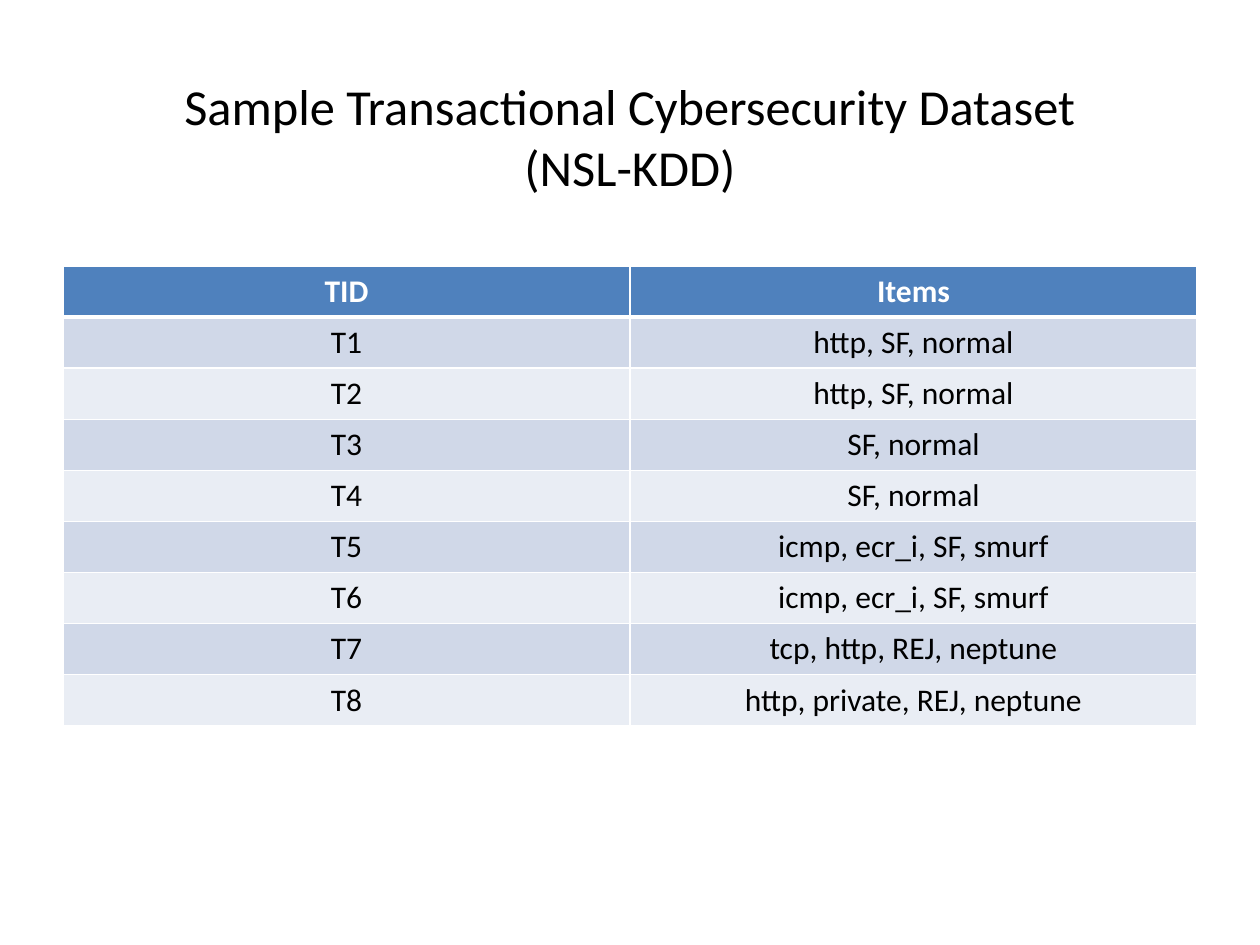
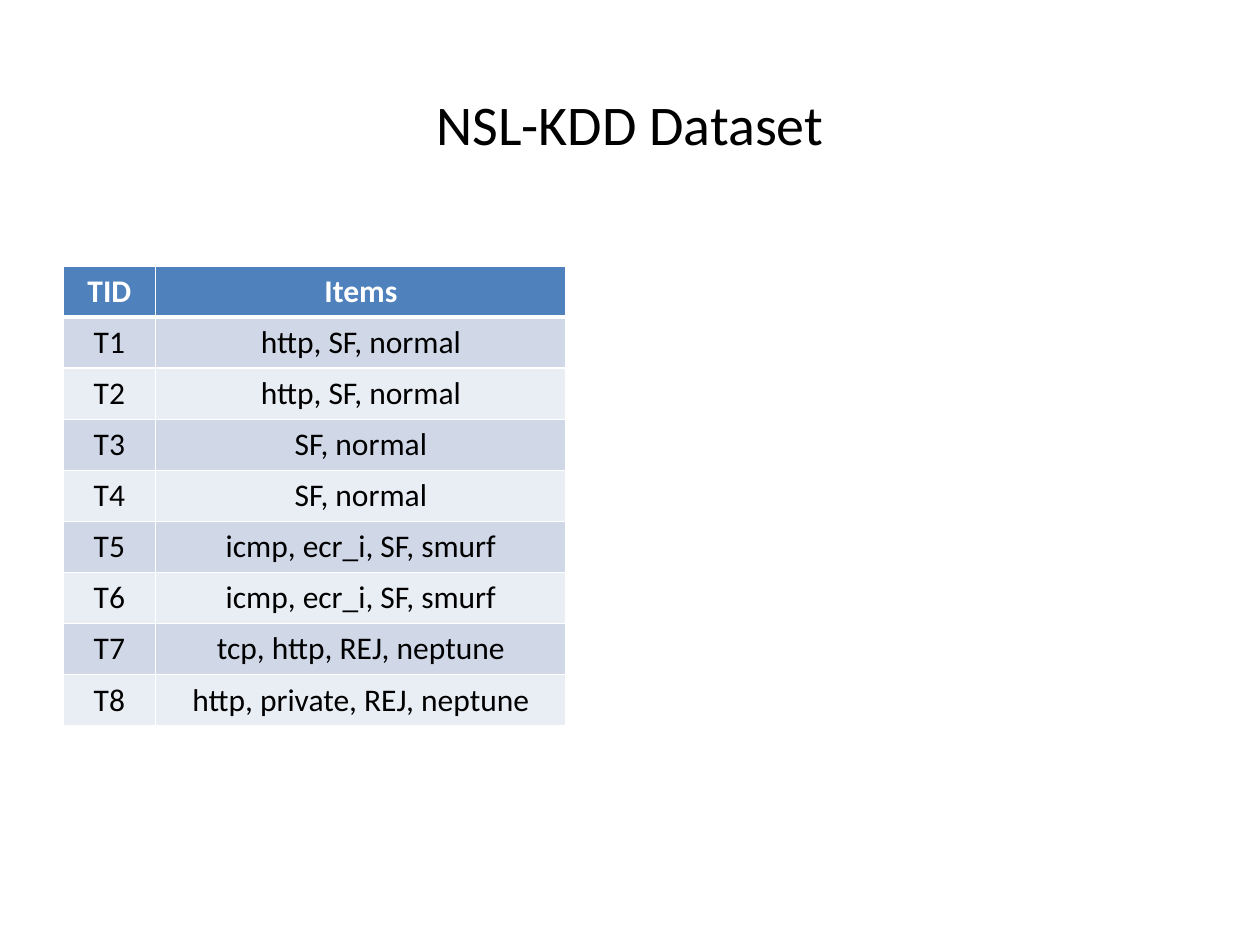
import dataclasses

import pptx
import pptx.dml.color
import pptx.enum.text
import pptx.oxml
import pptx.oxml.ns
import pptx.presentation
import pptx.slide
import pptx.table
import pptx.text.text
import pptx.util

Pt = pptx.util.Pt

# Shared look
FONT = "Calibri"
COLOURS = {
    "text": "000000",
    "header": "4F81BD",
    "header_text": "FFFFFF",
    "odd_row": "D0D8E8",
    "even_row": "E9EDF4",
    "rule": "FFFFFF",
}
SLIDE_WIDTH, SLIDE_HEIGHT = 720, 540
TITLE_HEIGHT = 46
TABLE_LEFT, TABLE_TOP = 36, 152
ROW_HEIGHT = 29.2
TABLE_TEXT_SIZE = 18
THIN_RULE, HEADER_RULE = 1, 3
TITLE_ONLY_LAYOUT = 5

# Transactions shown on both slides
HEADINGS = ("TID", "Items")
TRANSACTIONS = (
    "http, SF, normal",
    "http, SF, normal",
    "SF, normal",
    "SF, normal",
    "icmp, ecr_i, SF, smurf",
    "icmp, ecr_i, SF, smurf",
    "tcp, http, REJ, neptune",
    "http, private, REJ, neptune",
)


@dataclasses.dataclass(frozen=True)
class DatasetSlide:
    title: str
    title_top: float
    title_size: float
    column_widths: tuple[float, ...]


SLIDES = (
    DatasetSlide("Sample Transactional Cybersecurity Dataset\n(NSL-KDD)", 54.7, 28.8, (324, 324)),
    DatasetSlide("NSL-KDD Dataset", 47.5, 32, (53, 234.5)),
)


def colour(name: str) -> pptx.dml.color.RGBColor:
    return pptx.dml.color.RGBColor.from_string(COLOURS[name])


def write(para: pptx.text.text._Paragraph, text: str, size: float,
          colour_name: str, bold: bool = False) -> None:
    """Fill a centred paragraph and format its runs and line breaks."""
    para.text = text
    para.alignment = pptx.enum.text.PP_ALIGN.CENTER
    for span in para.runs:
        span.font.name = FONT
        span.font.size = Pt(size)
        span.font.bold = bold
        span.font.color.rgb = colour(colour_name)
    for line_break in para._p.findall(pptx.oxml.ns.qn("a:br")):
        properties = pptx.oxml.parse_xml(
            f'<a:rPr {pptx.oxml.ns.nsdecls("a")} sz="{round(size * 100)}"/>')
        line_break.append(properties)


def add_title(page: pptx.slide.Slide, content: DatasetSlide) -> None:
    box = page.shapes.title
    box.left, box.top = Pt(0), Pt(content.title_top)
    box.width, box.height = Pt(SLIDE_WIDTH), Pt(TITLE_HEIGHT)
    frame = box.text_frame
    frame.word_wrap = True
    frame.auto_size = pptx.enum.text.MSO_AUTO_SIZE.NONE
    frame.vertical_anchor = pptx.enum.text.MSO_ANCHOR.MIDDLE
    write(frame.paragraphs[0], content.title, content.title_size, "text")


def set_borders(cell: pptx.table._Cell, row: int) -> None:
    """Rule every side thinly, with a heavier line under the header."""
    widths = {
        "L": THIN_RULE,
        "R": THIN_RULE,
        "T": HEADER_RULE if row == 1 else THIN_RULE,
        "B": HEADER_RULE if row == 0 else THIN_RULE,
    }
    properties = cell._tc.get_or_add_tcPr()
    for side, width in widths.items():
        properties.append(pptx.oxml.parse_xml(
            f'<a:ln{side} {pptx.oxml.ns.nsdecls("a")} w="{Pt(width)}">'
            f'<a:solidFill><a:srgbClr val="{COLOURS["rule"]}"/></a:solidFill>'
            f'</a:ln{side}>'))


def add_transactions(page: pptx.slide.Slide, column_widths: tuple[float, ...]) -> None:
    rows = [HEADINGS]
    rows += [(f"T{number}", items) for number, items in enumerate(TRANSACTIONS, start=1)]
    table = page.shapes.add_table(
        len(rows), len(HEADINGS), Pt(TABLE_LEFT), Pt(TABLE_TOP),
        Pt(sum(column_widths)), Pt(ROW_HEIGHT * len(rows))).table
    for column, width in zip(table.columns, column_widths):
        column.width = Pt(width)
    for row, texts in enumerate(rows):
        table.rows[row].height = Pt(ROW_HEIGHT)
        is_header = row == 0
        fill_name = "header" if is_header else "odd_row" if row % 2 else "even_row"
        for column, text in enumerate(texts):
            cell = table.cell(row, column)
            set_borders(cell, row)
            cell.fill.solid()
            cell.fill.fore_color.rgb = colour(fill_name)
            write(cell.text_frame.paragraphs[0], text, TABLE_TEXT_SIZE,
                  "header_text" if is_header else "text", bold=is_header)


def add_dataset_slide(deck: pptx.presentation.Presentation, content: DatasetSlide) -> None:
    page = deck.slides.add_slide(deck.slide_layouts[TITLE_ONLY_LAYOUT])
    add_title(page, content)
    add_transactions(page, content.column_widths)


def main() -> None:
    deck = pptx.Presentation()
    deck.slide_width, deck.slide_height = Pt(SLIDE_WIDTH), Pt(SLIDE_HEIGHT)
    for content in SLIDES:
        add_dataset_slide(deck, content)
    deck.save("out.pptx")


if __name__ == "__main__":
    main()
